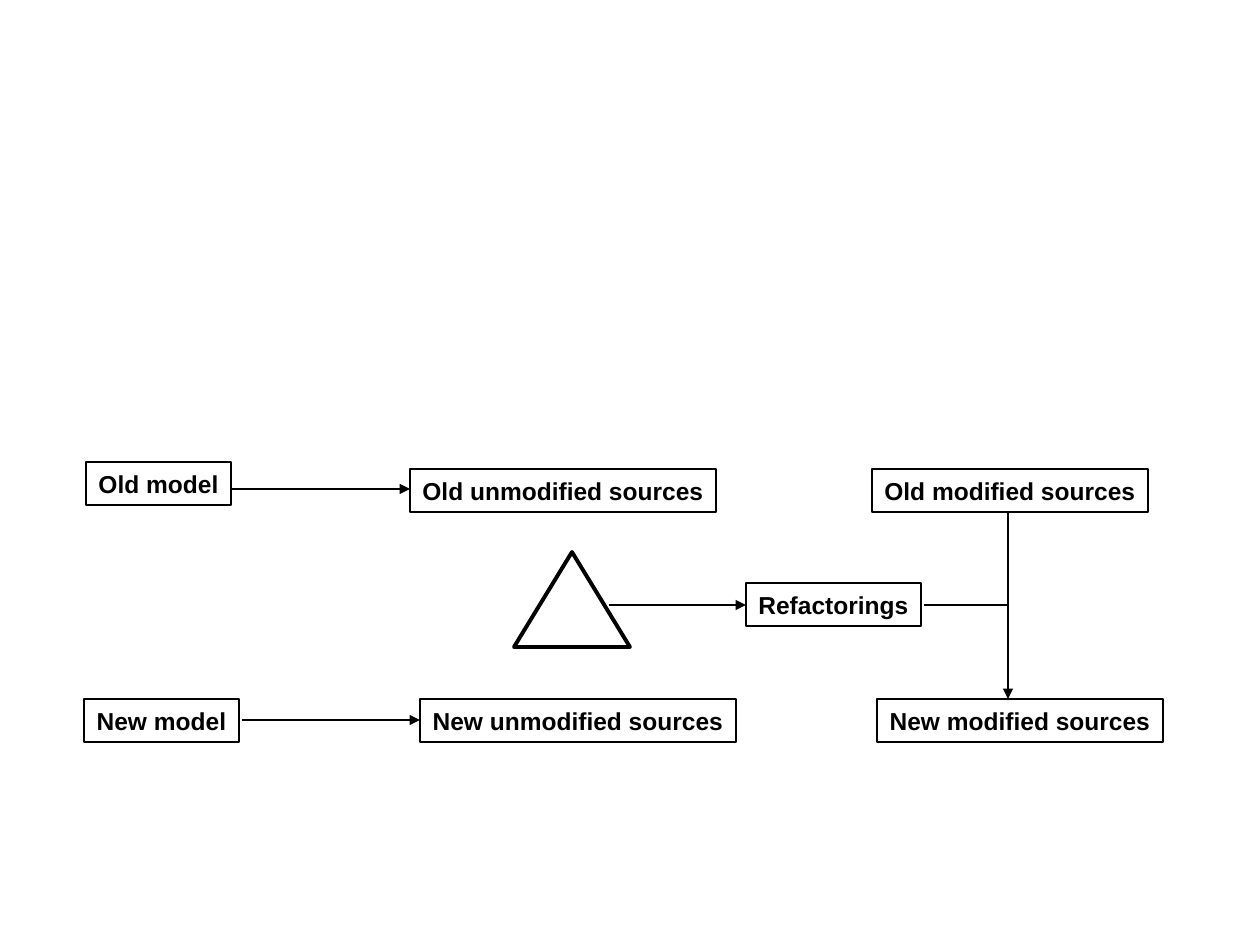
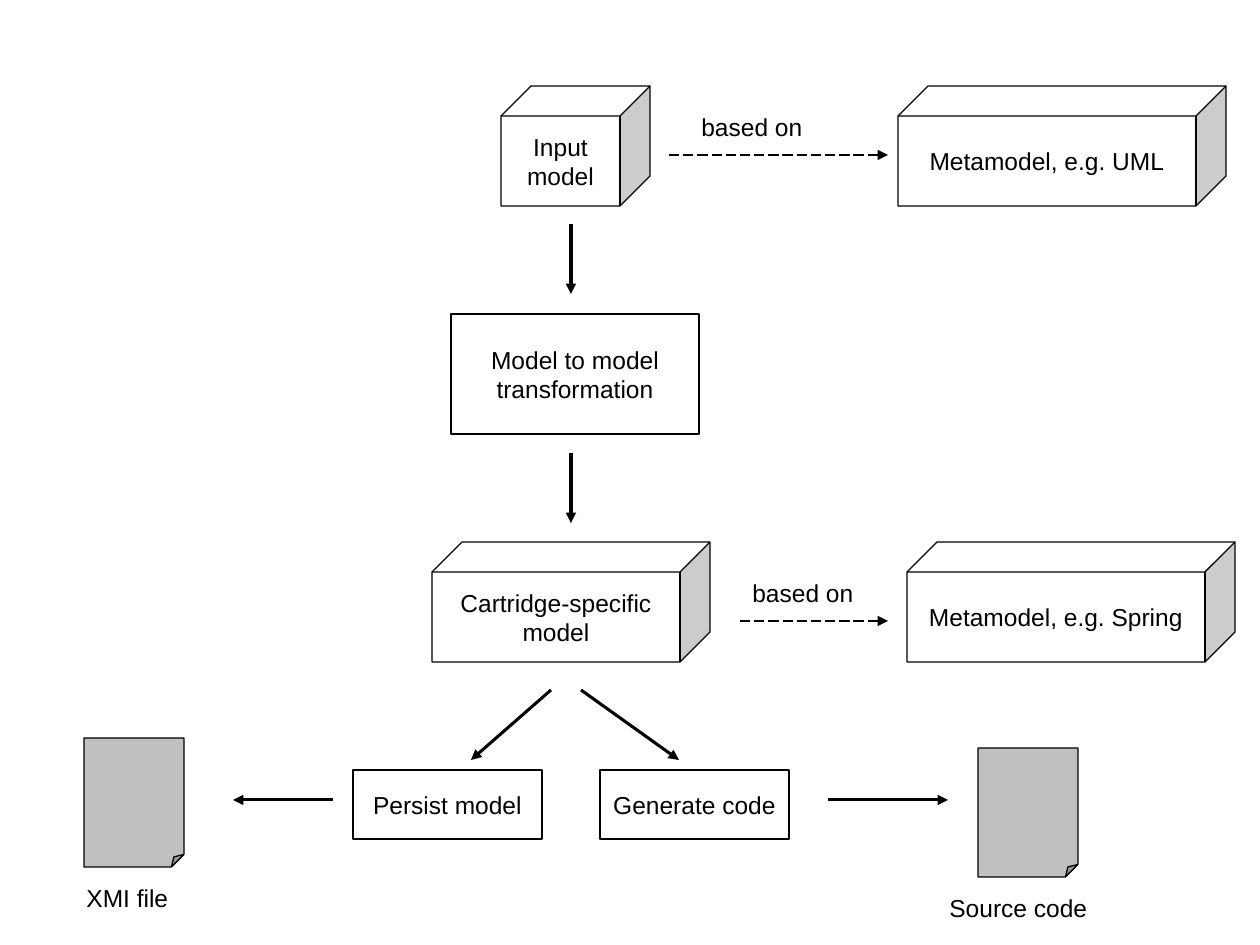
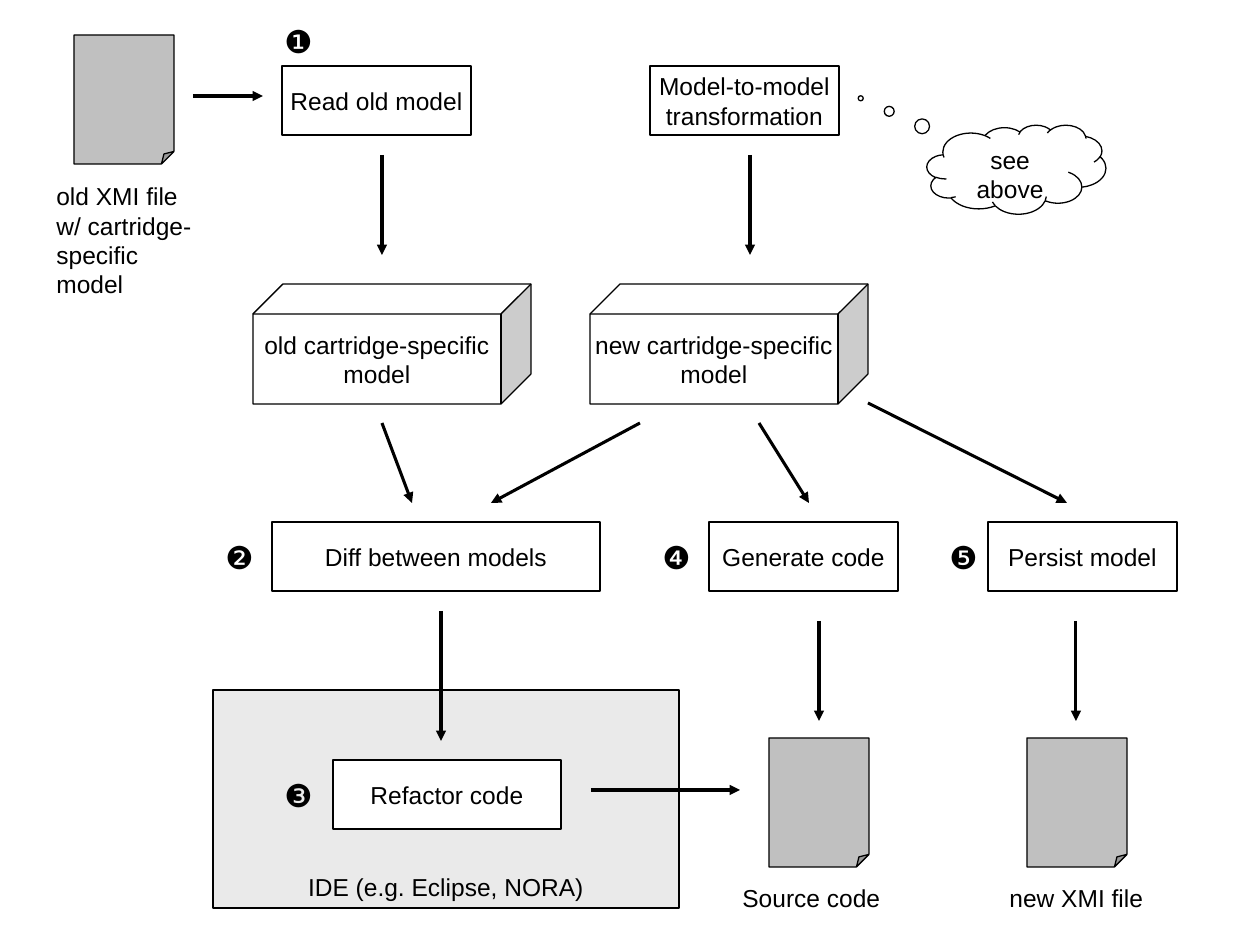
import copy

import pptx
import pptx.dml.color
import pptx.enum.dml
import pptx.enum.shapes
import pptx.enum.text
import pptx.oxml.ns
import pptx.oxml.xmlchemy
import pptx.util

PIXELS_PER_INCH = 126
COLORS = {"ink": "000000", "paper": "FFFFFF", "file": "C0C0C0", "panel": "EAEAEA"}
FONT = "Arial"
THIN, MEDIUM, THICK = 0.75, 1.75, 2.25
TAG_HEIGHT, STEP_HEIGHT, CUBE_HEIGHT = 43, 69, 120
STEP_WIDTH, CARTRIDGE_WIDTH, METAMODEL_WIDTH = 189, 278, 328

SHAPE = pptx.enum.shapes.MSO_SHAPE
ANCHOR = pptx.enum.text.MSO_ANCHOR
ALIGN = pptx.enum.text.PP_ALIGN
qn = pptx.oxml.ns.qn


def px(*lengths):
    """Turn pixel lengths into a list of EMU."""
    return [pptx.util.Emu(round(length * 914400 / PIXELS_PER_INCH)) for length in lengths]


def color(name):
    return pptx.dml.color.RGBColor.from_string(COLORS[name])


def write(shape, text, size=14, bold=False, align=ALIGN.CENTER,
          anchor=ANCHOR.MIDDLE, wrap=False):
    frame = shape.text_frame
    frame.word_wrap = wrap
    frame.vertical_anchor = anchor
    paragraph = frame.paragraphs[0]
    paragraph.text = text
    paragraph.alignment = align
    for run in paragraph.runs:
        run.font.name = FONT
        run.font.size = pptx.util.Pt(size)
        run.font.bold = bold
        run.font.color.rgb = color("ink")
    # Line breaks carry their own size, which sets the line height.
    for line_break in paragraph._p.findall(qn("a:br")):
        line_break.append(copy.deepcopy(paragraph.runs[0]._r.rPr))


def draw(slide, kind, left, top, width, height, fill="paper", weight=THIN):
    shape = slide.shapes.add_shape(kind, *px(left, top, width, height))
    shape.shadow.inherit = False
    if fill:
        shape.fill.solid()
        shape.fill.fore_color.rgb = color(fill)
    else:
        shape.fill.background()
    shape.line.color.rgb = color("ink")
    shape.line.width = pptx.util.Pt(weight)
    return shape


def tag(slide, text, left, top, width):
    """Unfilled box with a bold caption."""
    write(draw(slide, SHAPE.RECTANGLE, left, top, width, TAG_HEIGHT, fill=None), text, bold=True)


def step(slide, text, left, top, width=STEP_WIDTH, height=STEP_HEIGHT):
    write(draw(slide, SHAPE.RECTANGLE, left, top, width, height), text)


def cube(slide, text, left, top, width):
    write(draw(slide, SHAPE.CUBE, left, top, width, CUBE_HEIGHT), text)


def file_icon(slide, left, top):
    shape = draw(slide, SHAPE.FOLDED_CORNER, left, top, 100, 129, fill="file")
    # python-pptx lists no adjustment for this preset, so its guide is added here.
    guide = pptx.oxml.xmlchemy.OxmlElement("a:gd")
    guide.set("name", "adj")
    guide.set("fmla", "val 12500")
    shape._element.spPr.find(qn("a:prstGeom")).get_or_add_avLst().append(guide)


def label(slide, text, left, top, width=179, height=TAG_HEIGHT, size=14):
    box = slide.shapes.add_textbox(*px(left, top, width, height))
    write(box, text, size=size, align=ALIGN.LEFT, anchor=ANCHOR.TOP, wrap=True)


def connect(slide, start_x, start_y, end_x, end_y, weight=MEDIUM, dashed=False, head=True):
    connector = slide.shapes.add_connector(
        pptx.enum.shapes.MSO_CONNECTOR.STRAIGHT, *px(start_x, start_y, end_x, end_y))
    connector.line.color.rgb = color("ink")
    connector.line.width = pptx.util.Pt(weight)
    if dashed:
        connector.line.dash_style = pptx.enum.dml.MSO_LINE.LONG_DASH
    if head:
        tail = pptx.oxml.xmlchemy.OxmlElement("a:tailEnd")
        tail.set("type", "triangle")
        connector.line._get_or_add_ln().append(tail)
    connector._element.spPr.append(pptx.oxml.xmlchemy.OxmlElement("a:effectLst"))


def build_refactoring_overview(slide):
    for text, left, top, width in (
            ("Old model", 86, 462, 145),
            ("Old unmodified sources", 410, 469, 306),
            ("Old modified sources", 872, 469, 276),
            ("Refactorings", 746, 583, 175),
            ("New model", 84, 699, 155),
            ("New unmodified sources", 420, 699, 316),
            ("New modified sources", 877, 699, 286)):
        tag(slide, text, left, top, width)
    draw(slide, SHAPE.ISOSCELES_TRIANGLE, 514, 552, 116, 95, fill=None, weight=THICK)
    for ends in ((231, 489, 410, 489), (242, 720, 420, 720),
                 (609, 605, 746, 605), (1008, 511, 1008, 699)):
        connect(slide, *ends, weight=THIN)
    connect(slide, 924, 605, 1008, 605, weight=THIN, head=False)


def build_generation_flow(slide):
    cube(slide, "Input\nmodel", 501, 86, 149)
    cube(slide, "Metamodel, e.g. UML", 898, 86, METAMODEL_WIDTH)
    step(slide, "Model to model\ntransformation", 451, 314, 248, CUBE_HEIGHT)
    cube(slide, "Cartridge-specific\nmodel", 432, 542, CARTRIDGE_WIDTH)
    cube(slide, "Metamodel, e.g. Spring", 907, 542, METAMODEL_WIDTH)
    step(slide, "Persist model", 353, 770)
    step(slide, "Generate code", 600, 770)

    for ends in ((571, 224, 571, 294), (571, 453, 571, 523),
                 (551, 690, 471, 760), (581, 690, 679, 760),
                 (828, 800, 948, 800), (333, 800, 233, 800)):
        connect(slide, *ends)
    for ends in ((669, 155, 888, 155), (740, 621, 888, 621)):
        connect(slide, *ends, weight=THIN, dashed=True)

    label(slide, "based on", 689, 106)
    label(slide, "based on", 740, 572)
    file_icon(slide, 978, 748)
    label(slide, "Source code", 937, 887)
    file_icon(slide, 84, 738)
    label(slide, "XMI file", 74, 877, 110)


def build_update_flow(slide):
    ide = draw(slide, SHAPE.RECTANGLE, 213, 690, 466, 218, fill="panel")
    write(ide, "IDE (e.g. Eclipse, NORA)", anchor=ANCHOR.BOTTOM)

    cube(slide, "old cartridge-specific\nmodel", 253, 284, CARTRIDGE_WIDTH)
    cube(slide, "new cartridge-specific\nmodel", 590, 284, CARTRIDGE_WIDTH)
    step(slide, "Read old model", 282, 66)
    step(slide, "Model-to-model\ntransformation", 650, 66)
    step(slide, "Diff between models", 272, 522, 328)
    step(slide, "Generate code", 709, 522)
    step(slide, "Persist model", 988, 522)
    step(slide, "Refactor code", 333, 760, 228)

    for ends in ((193, 96, 263, 96), (382, 155, 382, 255), (750, 155, 750, 255),
                 (382, 423, 412, 503), (640, 423, 491, 503),
                 (759, 423, 809, 503), (868, 403, 1067, 503),
                 (441, 611, 441, 741), (591, 790, 740, 790),
                 (819, 621, 819, 721), (1076, 621, 1076, 721)):
        connect(slide, *ends)

    file_icon(slide, 74, 35)
    label(slide, "old XMI file\nw/ cartridge-specific\nmodel", 44, 175, height=131)
    file_icon(slide, 769, 738)
    label(slide, "Source code", 730, 877)
    file_icon(slide, 1027, 738)
    label(slide, "new XMI file", 997, 877, 169)

    for number, left, top in (("❶", 272, 16), ("❷", 213, 532), ("❸", 272, 770),
                              ("❹", 650, 532), ("❺", 937, 532)):
        label(slide, number, left, top, 59, 50, size=18)

    cloud = draw(slide, SHAPE.CLOUD_CALLOUT, 927, 125, 179, 89)
    cloud.adjustments[0] = -0.87
    cloud.adjustments[1] = -0.8
    write(cloud, "see above", anchor=ANCHOR.TOP, wrap=True)


def main():
    presentation = pptx.Presentation()
    presentation.slide_width, presentation.slide_height = px(1260, 945)
    blank_layout = presentation.slide_layouts[6]
    for build in (build_refactoring_overview, build_generation_flow, build_update_flow):
        build(presentation.slides.add_slide(blank_layout))
    presentation.save("out.pptx")


if __name__ == "__main__":
    main()
